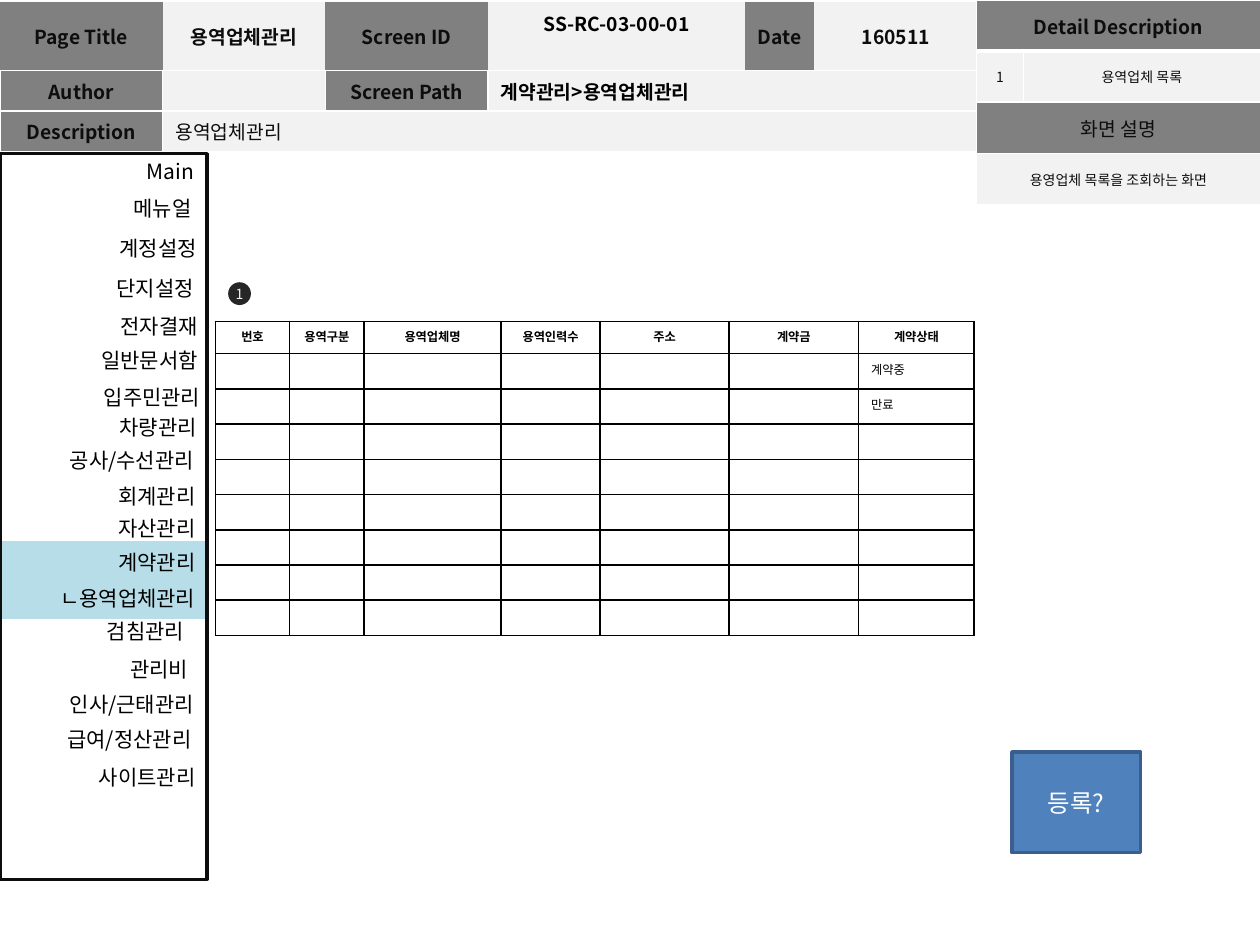
import lxml.etree
import pptx
import pptx.dml.color
import pptx.enum.shapes
import pptx.enum.text
import pptx.oxml.ns
import pptx.util

Cm = pptx.util.Cm
Pt = pptx.util.Pt
RGBColor = pptx.dml.color.RGBColor
ALIGN = pptx.enum.text.PP_ALIGN
ANCHOR = pptx.enum.text.MSO_ANCHOR
SHAPE = pptx.enum.shapes.MSO_SHAPE
qn = pptx.oxml.ns.qn

FONT = "Noto Sans CJK KR"
BLACK = RGBColor(0x00, 0x00, 0x00)
INK = RGBColor(0x0D, 0x0D, 0x0D)
CHARCOAL = RGBColor(0x26, 0x26, 0x26)
GRAY = RGBColor(0x80, 0x80, 0x80)
PALE = RGBColor(0xF2, 0xF2, 0xF2)
WHITE = RGBColor(0xFF, 0xFF, 0xFF)
SKY = RGBColor(0xB7, 0xDE, 0xE8)
BLUE = RGBColor(0x4F, 0x81, 0xBD)
NAVY = RGBColor(0x3A, 0x5F, 0x8C)

MENU_ITEMS = [
    ("Main", -0.03, -0.03), ("메뉴얼", -0.08, 0.71), ("계정설정", 0.03, 1.52),
    ("단지설정", -0.03, 2.34), ("전자결재", 0.05, 3.1), ("일반문서함", 0.05, 3.78),
    ("입주민관리", 0.1, 4.52), ("차량관리", 0.03, 5.13), ("공사/수선관리", -0.03, 5.79),
    ("회계관리", 0, 6.53), ("자산관리", 0, 7.16), ("계약관리", 0, 7.85),
    ("ㄴ용역업체관리", 0, 8.58), ("검침관리", -0.23, 9.24), ("관리비", -0.15, 10.01),
    ("인사/근태관리", -0.03, 10.72), ("급여/정산관리", -0.08, 11.43), ("사이트관리", 0, 12.19),
]


def write_text(text_frame, text, size, color, align=ALIGN.CENTER, bold=False):
    paragraph = text_frame.paragraphs[0]
    paragraph.text = text
    paragraph.alignment = align
    font = paragraph.font
    font.size, font.bold, font.name = Pt(size), bold, FONT
    font.color.rgb = color
    properties = paragraph._p.pPr.find(qn("a:defRPr"))
    lxml.etree.SubElement(properties, qn("a:ea"), typeface=FONT)


def add_box(slide, kind, left, top, width, height, fill=None, line=None):
    shape = slide.shapes.add_shape(kind, Cm(left), Cm(top), Cm(width), Cm(height))
    shape.shadow.inherit = False
    if fill is None:
        shape.fill.background()
    else:
        shape.fill.solid()
        shape.fill.fore_color.rgb = fill
    if line is None:
        shape.line.fill.background()
    else:
        shape.line.color.rgb = line
        shape.line.width = Pt(2)
    return shape


def add_grid(slide, left, top, columns, rows):
    frame = slide.shapes.add_table(len(rows), len(columns), Cm(left), Cm(top),
                                   Cm(sum(columns)), Cm(sum(rows)))
    table = frame.table
    table.first_row = table.horz_banding = False
    for column, width in zip(table.columns, columns):
        column.width = Cm(width)
    for row, height in zip(table.rows, rows):
        row.height = Cm(height)
    return table


def style_cell(cell, fill, border, widths):
    properties = cell._tc.get_or_add_tcPr()
    for side in "LRTB":
        line = lxml.etree.SubElement(properties, qn(f"a:ln{side}"))
        if side in widths:
            line.set("w", str(Pt(widths[side])))
            solid = lxml.etree.SubElement(line, qn("a:solidFill"))
            lxml.etree.SubElement(solid, qn("a:srgbClr"), val=str(border))
        else:
            lxml.etree.SubElement(line, qn("a:noFill"))
    if fill is None:
        cell.fill.background()
    else:
        cell.fill.solid()
        cell.fill.fore_color.rgb = fill


def add_page_header(slide, left, top):
    columns = [3.28, 3.28, 3.28, 5.18, 1.4, 3.28]
    contents = [
        ["Page Title", "용역업체관리", "Screen ID", "SS-RC-03-00-01", "Date", "160511"],
        ["Author", "", "Screen Path", "계약관리>용역업체관리", "", ""],
        ["Description", "용역업체관리", "", "", "", ""],
    ]
    labels = {"Page Title", "Screen ID", "Date", "Author", "Screen Path", "Description"}
    table = add_grid(slide, left, top, columns, [1.37, 0.81, 0.81])
    for r, texts in enumerate(contents):
        widths = {"B": 1} if r == 0 else dict.fromkeys("LRTB", 1)
        for c, text in enumerate(texts):
            cell = table.cell(r, c)
            label = text in labels
            style_cell(cell, GRAY if label else PALE, WHITE, widths)
            cell.vertical_anchor = ANCHOR.MIDDLE
            align = ALIGN.CENTER if r == 0 or label else ALIGN.LEFT
            color = BLACK if c == 3 else INK
            write_text(cell.text_frame, text, 11, color, align, r < 2 or label)
    table.cell(0, 3).vertical_anchor = ANCHOR.TOP
    table.cell(1, 3).merge(table.cell(1, 5))
    table.cell(2, 1).merge(table.cell(2, 5))


def add_detail_panel(slide, left, top):
    contents = [["Detail Description", ""], ["1", "용역업체 목록"],
                ["화면 설명", ""], ["용영업체 목록을 조회하는 화면", ""]]
    table = add_grid(slide, left, top, [0.94, 4.78], [1.03] * 4)
    for r, texts in enumerate(contents):
        heading = r in (0, 2)
        widths = dict.fromkeys("LRTB", 1)
        if r == 0:
            widths["B"] = 3
        elif r == 1:
            widths["T"] = 3
        for c, text in enumerate(texts):
            cell = table.cell(r, c)
            style_cell(cell, GRAY if heading else PALE, WHITE, widths)
            cell.vertical_anchor = ANCHOR.MIDDLE
            write_text(cell.text_frame, text, 11 if heading else 8, INK, bold=r == 0)
        if r != 1:
            table.cell(r, 0).merge(table.cell(r, 1))


def add_menu(slide, left, top, width, height):
    add_box(slide, SHAPE.RECTANGLE, left, top + 7.77, width, 1.65, SKY, WHITE)
    add_box(slide, SHAPE.RECTANGLE, left, top, width, height, line=INK)
    for text, shift, offset in MENU_ITEMS:
        item = slide.shapes.add_textbox(Cm(left + shift), Cm(top + offset), Cm(4.19), Cm(0.75))
        item.text_frame.word_wrap = True
        write_text(item.text_frame, text, 12, BLACK, ALIGN.RIGHT)


def add_contractor_list(slide, left, top):
    headings = ["번호", "용역구분", "용역업체명", "용역인력수", "주소", "계약금", "계약상태"]
    statuses = ["계약중", "만료"] + [""] * 6
    rows = [headings] + [[""] * 6 + [status] for status in statuses]
    table = add_grid(slide, left, top, [1.5, 1.5, 2.76, 2, 2.6, 2.61, 2.33], [0.65] + [0.71] * 8)
    for r, texts in enumerate(rows):
        for c, text in enumerate(texts):
            cell = table.cell(r, c)
            style_cell(cell, None, BLACK, dict.fromkeys("LRTB", 1))
            align = ALIGN.LEFT if r else ALIGN.CENTER
            write_text(cell.text_frame, text, 7, BLACK, align, r == 0)


def add_marker(slide, left, top, size):
    marker = add_box(slide, SHAPE.OVAL, left, top, size, size, CHARCOAL)
    frame = marker.text_frame
    frame.margin_left = frame.margin_right = frame.margin_top = frame.margin_bottom = 0
    frame.word_wrap = False
    frame.vertical_anchor = ANCHOR.MIDDLE
    write_text(frame, "1", 8, PALE)


def add_register_button(slide, left, top, width, height):
    button = add_box(slide, SHAPE.RECTANGLE, left, top, width, height, BLUE, NAVY)
    button.text_frame.vertical_anchor = ANCHOR.MIDDLE
    write_text(button.text_frame, "등록?", 14, WHITE)


def main():
    presentation = pptx.Presentation()
    presentation.slide_width, presentation.slide_height = Cm(25.4), Cm(19.05)
    slide = presentation.slides.add_slide(presentation.slide_layouts[6])
    add_page_header(slide, 0, 0.05)
    add_menu(slide, 0, 3.1, 4.17, 14.63)
    add_detail_panel(slide, 19.69, 0)
    add_contractor_list(slide, 4.34, 6.48)
    add_marker(slide, 4.6, 5.69, 0.46)
    add_register_button(slide, 20.4, 15.16, 2.59, 2.03)
    presentation.save("out.pptx")


if __name__ == "__main__":
    main()
